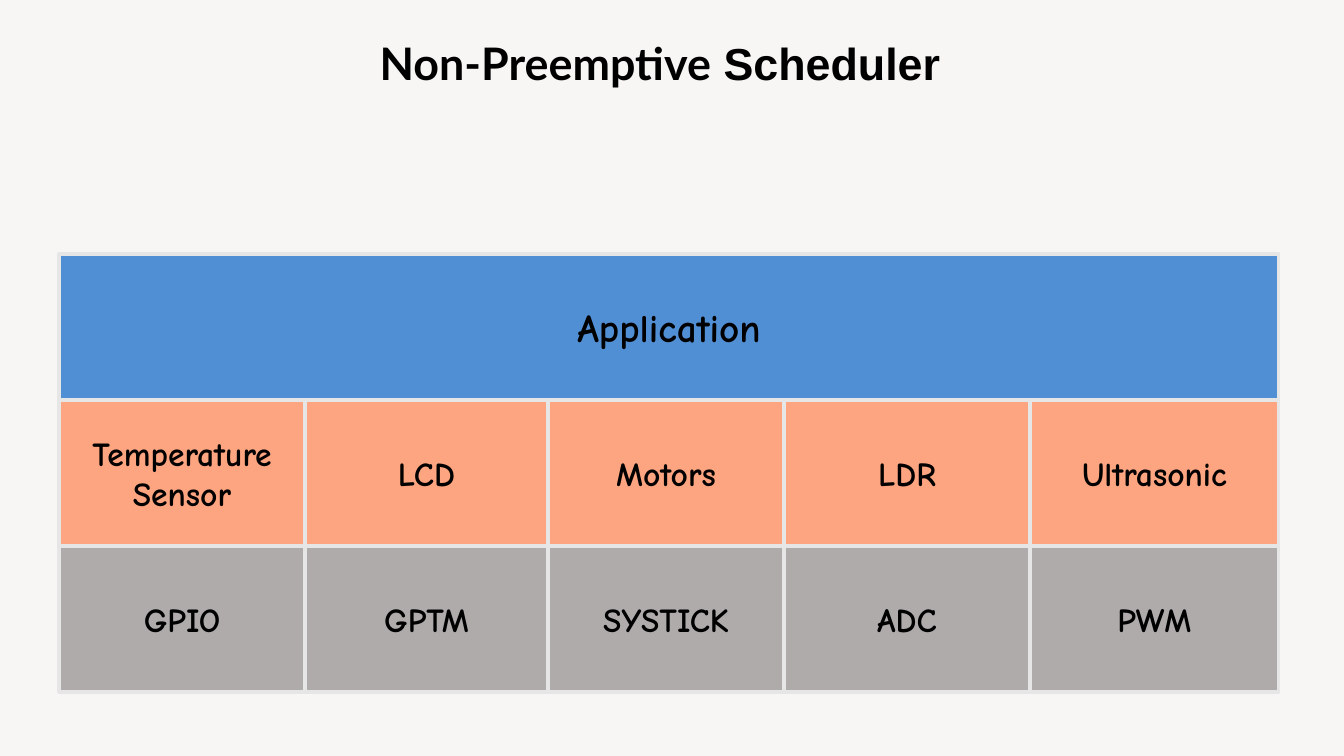
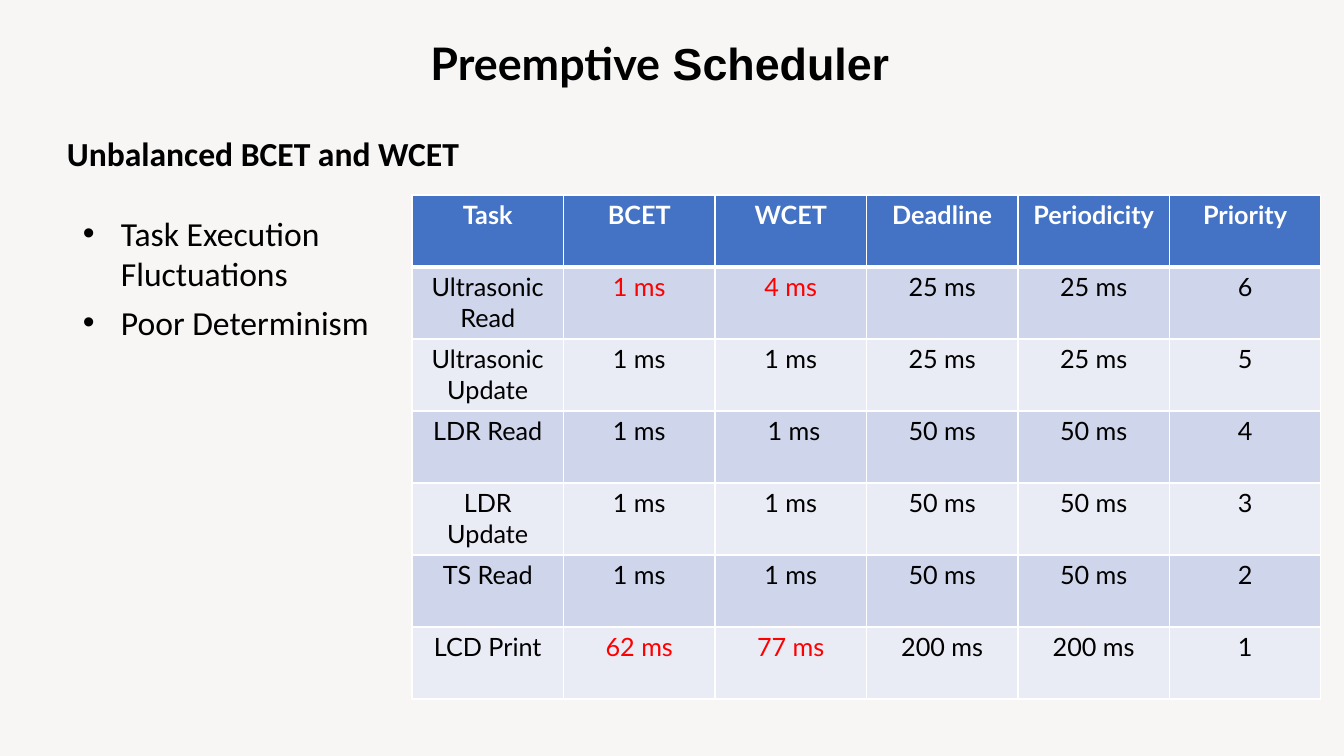
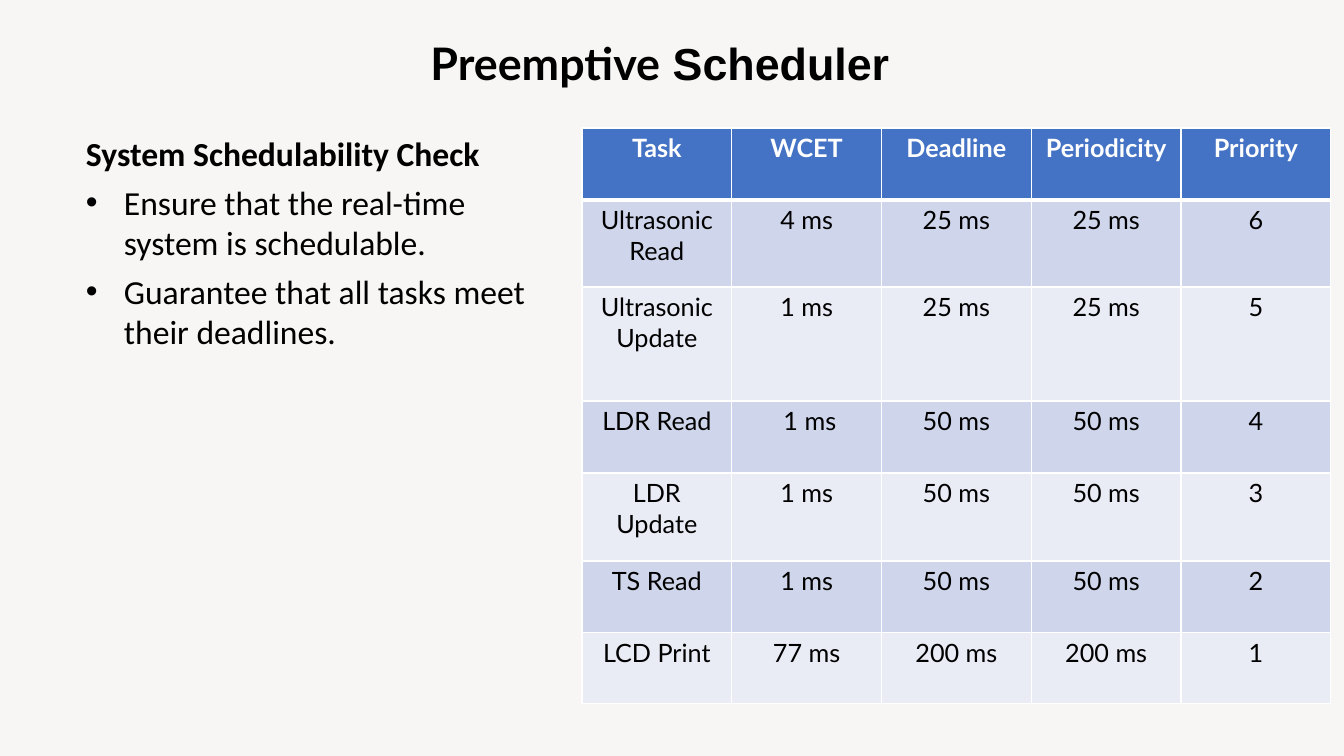
from dataclasses import dataclass
from itertools import pairwise

from lxml.etree import SubElement
from pptx import Presentation
from pptx.dml.color import RGBColor
from pptx.enum.shapes import MSO_SHAPE as Shape
from pptx.enum.text import MSO_ANCHOR as Anchor, PP_ALIGN as Align
from pptx.oxml.ns import qn
from pptx.util import Pt

SLIDE_W, SLIDE_H = 1344, 756
EMU_PER_PX = 12192000 / SLIDE_W


@dataclass(frozen=True)
class Theme:
    backdrop: str = "F8F6F5"
    ink: str = "000000"
    white: str = "FFFFFF"
    alert: str = "FF0000"
    application: str = "518FD5"
    devices: str = "FDA480"
    drivers: str = "AFABAB"
    layer_edge: str = "E7E6E6"
    header: str = "4472C4"
    bands: tuple = ("CFD5EA", "E9EBF5")
    title_font: str = "Lato"
    title_accent_font: str = "Arial"
    layer_font: str = "Comic Neue"
    body_font: str = "Calibri"
    table_font: str = "Lato"
    title_size: int = 32
    application_size: int = 28
    layer_size: int = 24
    body_size: int = 24
    table_size: int = 18
    layer_line: float = 2.25
    grid_line: int = 1
    header_line: int = 3


THEME = Theme()


def px(length):
    return round(length * EMU_PER_PX)


def rgb(code):
    return RGBColor.from_string(code)


def write(paragraph, text, *, font, size, color=THEME.ink, bold=False,
          align=Align.LEFT, after=0, bullet=False):
    paragraph.alignment = align
    paragraph.space_after = Pt(after)
    if bullet:
        props = paragraph._p.get_or_add_pPr()
        props.set("marL", str(px(38)))
        props.set("indent", str(-px(38)))
        SubElement(props, qn("a:buFont")).set("typeface", "Arial")
        SubElement(props, qn("a:buChar")).set("char", "•")
    run = paragraph.add_run()
    run.text = text
    run.font.name = font
    run.font.size = Pt(size)
    run.font.bold = bold
    run.font.color.rgb = rgb(color)


def border(cell, side, width, color):
    edge = SubElement(cell._tc.get_or_add_tcPr(), qn(f"a:ln{side}"))
    edge.set("w", str(Pt(width)))
    fill = SubElement(edge, qn("a:solidFill"))
    SubElement(fill, qn("a:srgbClr")).set("val", color)


class Deck:
    def __init__(self, theme):
        self.theme = theme
        self.prs = Presentation()
        self.prs.slide_width, self.prs.slide_height = px(SLIDE_W), px(SLIDE_H)
        self.slide = None

    def new_slide(self, topic):
        theme = self.theme
        self.slide = self.prs.slides.add_slide(self.prs.slide_layouts[6])
        backdrop = self.slide.background.fill
        backdrop.solid()
        backdrop.fore_color.rgb = rgb(theme.backdrop)
        frame = self.text_frame(189, 31, 888, 65)
        frame.margin_left = px(64)
        for text, font in ((topic, theme.title_font),
                           (" Scheduler", theme.title_accent_font)):
            write(frame.paragraphs[0], text, font=font, size=theme.title_size,
                  bold=True, align=Align.CENTER)

    def text_frame(self, left, top, width, height):
        box = self.slide.shapes.add_textbox(
            px(left), px(top), px(width), px(height))
        box.text_frame.word_wrap = True
        return box.text_frame

    def body(self, left, top, width, height, heading=None, points=()):
        frame = self.text_frame(left, top, width, height)
        lines = [(heading, False)] if heading else []
        lines += [(point, True) for point in points]
        for index, (text, bullet) in enumerate(lines):
            paragraph = frame.add_paragraph() if index else frame.paragraphs[0]
            write(paragraph, text, font=self.theme.body_font,
                  size=self.theme.body_size, bold=not bullet, bullet=bullet,
                  after=6 if index < len(lines) - 1 else 0)

    def layer_block(self, left, top, width, height, label, fill, size):
        theme = self.theme
        block = self.slide.shapes.add_shape(
            Shape.RECTANGLE, px(left), px(top), px(width), px(height))
        block.shadow.inherit = False
        block.fill.solid()
        block.fill.fore_color.rgb = rgb(fill)
        block.line.color.rgb = rgb(theme.layer_edge)
        block.line.width = Pt(theme.layer_line)
        frame = block.text_frame
        frame.word_wrap = True
        frame.vertical_anchor = Anchor.MIDDLE
        write(frame.paragraphs[0], label, font=theme.layer_font, size=size,
              bold=True, align=Align.CENTER)

    def table(self, left, top, width, row_heights, rows, alerts=()):
        theme = self.theme
        columns = len(rows[0])
        grid = self.slide.shapes.add_table(
            len(rows), columns, px(left), px(top), px(width),
            px(sum(row_heights))).table
        grid.first_row = grid.horz_banding = False
        for column in grid.columns:
            column.width = px(width / columns)
        for r, (height, values) in enumerate(zip(row_heights, rows)):
            grid.rows[r].height = px(height)
            is_header = r == 0
            fill = theme.header if is_header else theme.bands[(r - 1) % 2]
            for c, value in enumerate(values):
                cell = grid.cell(r, c)
                for side in "LRTB":
                    heavy = (r, side) in ((0, "B"), (1, "T"))
                    border(cell, side,
                           theme.header_line if heavy else theme.grid_line,
                           theme.white)
                cell.fill.solid()
                cell.fill.fore_color.rgb = rgb(fill)
                color = theme.white if is_header else theme.ink
                write(cell.text_frame.paragraphs[0], value,
                      font=theme.table_font, size=theme.table_size,
                      color=theme.alert if (r, c) in alerts else color,
                      bold=is_header, align=Align.CENTER)


TASKS = [
    ("Task", "BCET", "WCET", "Deadline", "Periodicity", "Priority"),
    ("Ultrasonic Read", "1 ms", "4 ms", "25 ms", "25 ms", "6"),
    ("Ultrasonic Update", "1 ms", "1 ms", "25 ms", "25 ms", "5"),
    ("LDR Read", "1 ms", " 1 ms", "50 ms", "50 ms", "4"),
    ("LDR Update", "1 ms", "1 ms", "50 ms", "50 ms", "3"),
    ("TS Read", "1 ms", "1 ms", "50 ms", "50 ms", "2"),
    ("LCD Print", "62 ms", "77 ms", "200 ms", "200 ms", "1"),
]


def layers_slide(deck):
    theme = deck.theme
    deck.new_slide("Non-Preemptive")
    edges = (59, 305, 548, 784, 1030, 1279)
    top, height = 254, 146
    deck.layer_block(edges[0], top, edges[-1] - edges[0], height,
                     "Application", theme.application, theme.application_size)
    layers = (
        (2, theme.drivers, ("GPIO", "GPTM", "SYSTICK", "ADC", "PWM")),
        (1, theme.devices,
         ("Temperature Sensor", "LCD", "Motors", "LDR", "Ultrasonic")),
    )
    for level, fill, labels in layers:
        for (left, right), label in zip(pairwise(edges), labels):
            deck.layer_block(left, top + level * height, right - left, height,
                             label, fill, theme.layer_size)


def unbalanced_slide(deck):
    deck.new_slide("Preemptive")
    deck.body(57, 128, 604, 50, heading="Unbalanced BCET and WCET")
    unbalanced = {(r, c) for r, task in enumerate(TASKS) for c in (1, 2)
                  if r and task[1].strip() != task[2].strip()}
    deck.table(412, 195, 909, [72] * len(TASKS), TASKS, unbalanced)
    deck.body(73, 208, 318, 171,
              points=("Task Execution Fluctuations", "Poor Determinism"))


def schedulability_slide(deck):
    deck.new_slide("Preemptive")
    deck.body(76, 128, 495, 271, heading="System Schedulability Check",
              points=("Ensure that the real-time system is schedulable.",
                      "Guarantee that all tasks meet their deadlines."))
    without_bcet = [task[:1] + task[2:] for task in TASKS]
    deck.table(582, 128, 749, (72, 87, 114, 72, 88, 72, 71), without_bcet)


def main():
    deck = Deck(THEME)
    layers_slide(deck)
    unbalanced_slide(deck)
    schedulability_slide(deck)
    deck.prs.save("out.pptx")


if __name__ == "__main__":
    main()
